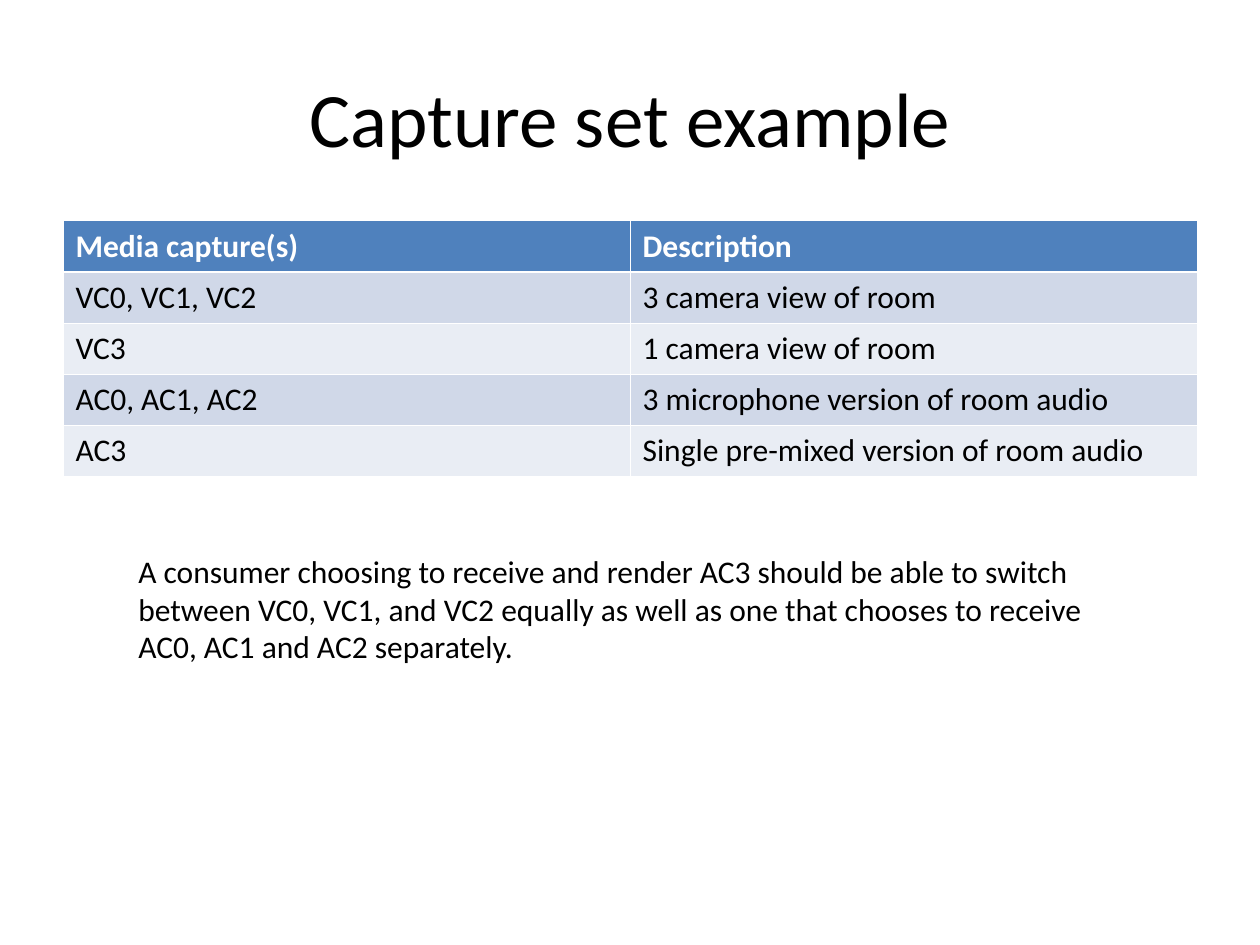
from pptx import Presentation
from pptx.dml.color import RGBColor
from pptx.enum.text import MSO_ANCHOR, MSO_AUTO_SIZE, PP_ALIGN
from pptx.oxml import parse_xml
from pptx.oxml.ns import nsdecls
from pptx.util import Cm, Pt


def color(hex_string):
    return RGBColor.from_string(hex_string)


def write(text_frame, text, size=18, fill="000000", bold=False, align=PP_ALIGN.LEFT):
    text_frame.word_wrap = True
    paragraph = text_frame.paragraphs[0]
    paragraph.alignment = align
    run = paragraph.add_run()
    run.text = text
    run.font.name = "Calibri"
    run.font.size = Pt(size)
    run.font.bold = bold
    run.font.color.rgb = color(fill)


presentation = Presentation()
presentation.slide_width = Cm(25.4)
presentation.slide_height = Cm(19.05)
slide = presentation.slides.add_slide(presentation.slide_layouts[5])

# Title
title = slide.shapes.title
title.left, title.top, title.width, title.height = Cm(1.27), Cm(0.76), Cm(22.86), Cm(3.18)
title.text_frame.vertical_anchor = MSO_ANCHOR.MIDDLE
write(title.text_frame, "Capture set example", size=44, align=PP_ALIGN.CENTER)

# Capture table: header row, then alternating bands
rows = [
    ("Media capture(s)", "Description"),
    ("VC0, VC1, VC2", "3 camera view of room"),
    ("VC3", "1 camera view of room"),
    ("AC0, AC1, AC2", "3 microphone version of room audio"),
    ("AC3", "Single pre-mixed version of room audio"),
]
bands = ["E9EDF4", "D0D8E8"]
row_height = Cm(1.03)
table = slide.shapes.add_table(
    len(rows), 2, Cm(1.27), Cm(4.45), Cm(22.86), row_height * len(rows)
).table

for row_index, texts in enumerate(rows):
    is_header = row_index == 0
    table.rows[row_index].height = row_height
    for column_index, text in enumerate(texts):
        cell = table.cell(row_index, column_index)
        write(cell.text_frame, text, fill="FFFFFF" if is_header else "000000", bold=is_header)
        cell.fill.solid()
        cell.fill.fore_color.rgb = color("4F81BD" if is_header else bands[row_index % 2])

        # White borders, thicker below the header
        thick_side = {0: "lnB", 1: "lnT"}.get(row_index)
        properties = cell._tc.get_or_add_tcPr()
        for position, side in enumerate(["lnL", "lnR", "lnT", "lnB"]):
            width = Pt(1.47 if side == thick_side else 0.45)
            border = parse_xml(
                f'<a:{side} {nsdecls("a")} w="{width}"><a:solidFill>'
                f'<a:srgbClr val="FFFFFF"/></a:solidFill></a:{side}>'
            )
            properties.insert(position, border)

# Explanation below the table
explanation = slide.shapes.add_textbox(Cm(2.54), Cm(11), Cm(20.32), Cm(2.54))
explanation.text_frame.auto_size = MSO_AUTO_SIZE.SHAPE_TO_FIT_TEXT
write(
    explanation.text_frame,
    "A consumer choosing to receive and render AC3 should be able to switch "
    "between VC0, VC1, and VC2 equally as well as one that chooses to receive "
    "AC0, AC1 and AC2 separately.",
)

presentation.save("out.pptx")
